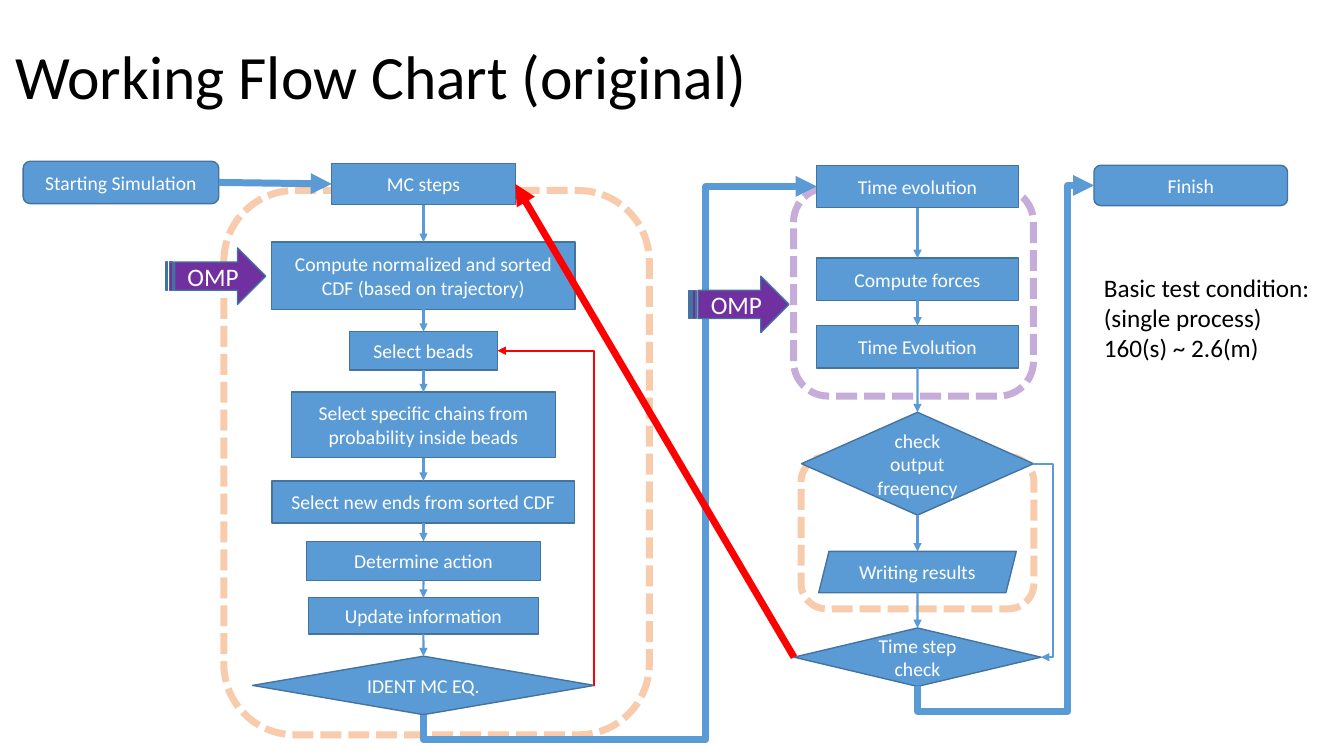
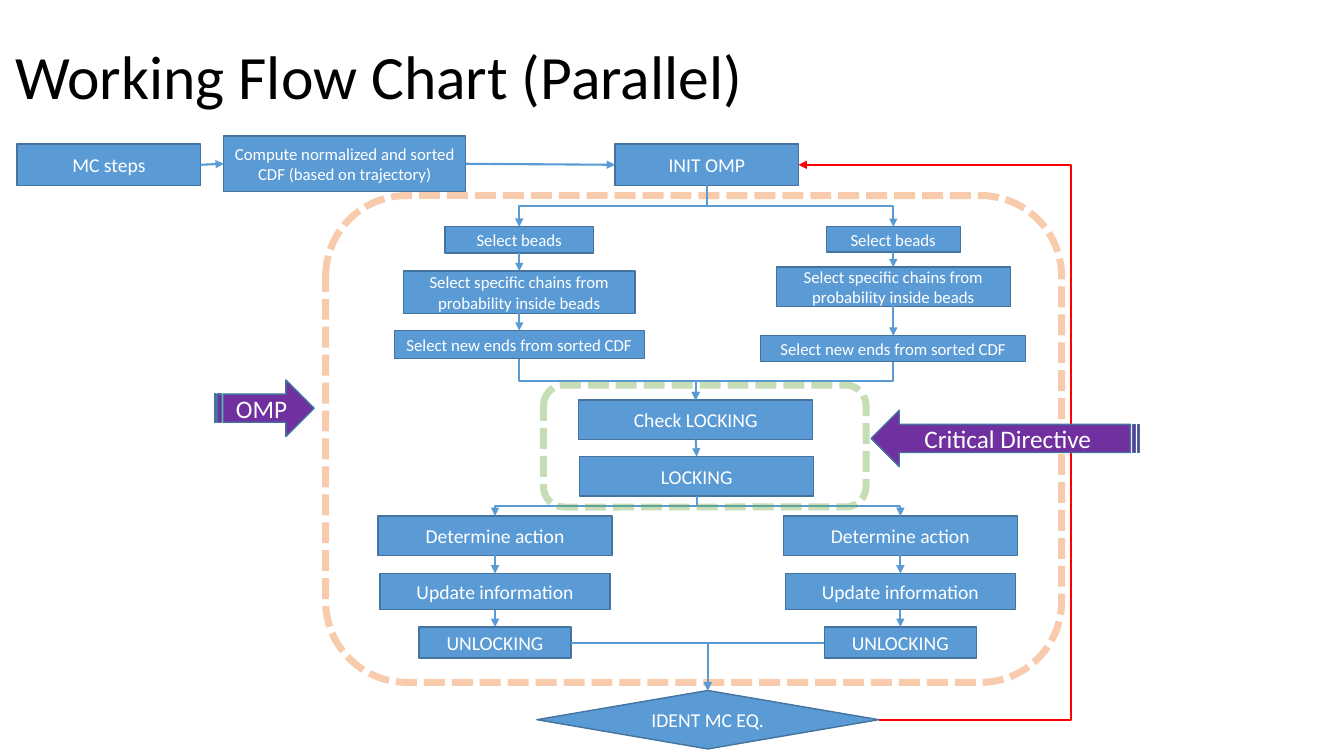
from dataclasses import dataclass
from itertools import pairwise

from lxml.etree import SubElement
from pptx import Presentation
from pptx.dml.color import RGBColor as RGB
from pptx.enum.dml import MSO_LINE
from pptx.enum.shapes import MSO_CONNECTOR as CONN, MSO_SHAPE as SHAPE
from pptx.enum.text import MSO_ANCHOR, MSO_AUTO_SIZE, PP_ALIGN
from pptx.oxml.ns import qn
from pptx.util import Inches, Pt


@dataclass(frozen=True)
class Theme:
    font: str = "Calibri"
    blue: str = "5B9BD5"
    edge: str = "43739E"
    purple: str = "7030A0"
    orange: str = "ED7D31"
    green: str = "70AD47"
    red: str = "FF0000"
    white: str = "FFFFFF"
    black: str = "000000"
    title: int = 44
    large: int = 18
    body: int = 14
    small: int = 12
    thin: float = 1.5
    thick: float = 5


T = Theme()
TOP, LEFT, BOTTOM, RIGHT = range(4)
RECT, ROUND, DIAMOND = SHAPE.RECTANGLE, SHAPE.ROUNDED_RECTANGLE, SHAPE.DIAMOND
STRIPED = SHAPE.STRIPED_RIGHT_ARROW


def node(s, kind, cx, top, w, h, text="", size=T.body, fill=T.blue, frame=None):
    """Add a filled box centred on cx, or a translucent dashed frame."""
    sp = s.shapes.add_shape(kind, Inches(cx - w / 2), Inches(top), Inches(w), Inches(h))
    sp.shadow.inherit = False
    sp.line.color.rgb = RGB.from_string(frame or T.edge)
    if frame:
        sp.fill.background()
        sp.line.width = Pt(T.thick)
        sp.line.dash_style = MSO_LINE.SQUARE_DOT
        colour = sp.element.spPr.find(".//" + qn("a:ln")).find(".//" + qn("a:srgbClr"))
        SubElement(colour, qn("a:alpha"), val="40000")
        return sp
    sp.fill.solid()
    sp.fill.fore_color.rgb = RGB.from_string(fill)
    sp.line.width = Pt(1)
    tf = sp.text_frame
    tf.word_wrap = True
    tf.vertical_anchor = MSO_ANCHOR.MIDDLE
    p = tf.paragraphs[0]
    p.alignment = PP_ALIGN.CENTER
    r = p.add_run()
    r.text = text
    r.font.name, r.font.size = T.font, Pt(size)
    r.font.color.rgb = RGB.from_string(T.white)
    return sp


def link(s, a, side_a, b, side_b, bends=None, colour=T.blue, width=T.thin):
    """Join two sides; bends holds the inner turns of an elbow, in inches."""
    ends = []
    for sp, side in ((a, side_a), (b, side_b)):
        dx, dy = ((0.5, 0), (0, 0.5), (0.5, 1), (1, 0.5))[side]
        ends.append((int(sp.left + dx * sp.width), int(sp.top + dy * sp.height)))
    (x0, y0), (x1, y1) = ends
    c = s.shapes.add_connector(CONN.STRAIGHT if bends is None else CONN.ELBOW, x0, y0, x1, y1)
    # A parallelogram numbers its connection sites differently
    if a.auto_shape_type != SHAPE.PARALLELOGRAM:
        c.begin_connect(a, side_a)
    if b.auto_shape_type != SHAPE.PARALLELOGRAM:
        c.end_connect(b, side_b)
    c.line.color.rgb = RGB.from_string(colour)
    c.line.width = Pt(width)
    spPr = c.element.spPr
    SubElement(spPr.find(qn("a:ln")), qn("a:tailEnd"), type="triangle")
    SubElement(spPr, qn("a:effectLst"))
    if bends is None:
        return c

    vertical = side_a in (TOP, BOTTOM)
    if vertical:  # an elbow that starts vertically is turned by 90 degrees
        w, h = abs(y1 - y0), abs(x1 - x0)
        c.left, c.top = (x0 + x1 - w) // 2, (y0 + y1 - h) // 2
        c.width, c.height = w, h
        xfrm = spPr.find(qn("a:xfrm"))
        xfrm.set("rot", "5400000")
        xfrm.set("flipH", str(int(y1 < y0)))
        xfrm.set("flipV", str(int(x1 > x0)))
    geom = spPr.find(qn("a:prstGeom"))
    geom.set("prst", f"bentConnector{len(bends) + 2}")
    guides = geom.get_or_add_avLst()
    for i, bend in enumerate(bends):
        start, end = (y0, y1) if vertical == (i % 2 == 0) else (x0, x1)
        ratio = (Inches(bend) - start) / (end - start)
        SubElement(guides, qn("a:gd"), name=f"adj{i + 1}", fmla=f"val {round(ratio * 100000)}")
    return c


prs = Presentation()
prs.slide_width, prs.slide_height = Inches(13.33), Inches(7.5)
layout = prs.slide_layouts[5]
title = layout.placeholders[0]
title.left, title.top, title.width, title.height = map(Inches, (0.05, 0.06, 11.5, 1.45))

# Titled slides
slides = []
for text in ("Working Flow Chart (original)", "Working Flow Chart (Parallel)"):
    s = prs.slides.add_slide(layout)
    tf = s.shapes.title.text_frame
    tf.auto_size = MSO_AUTO_SIZE.NONE
    tf.vertical_anchor = MSO_ANCHOR.MIDDLE
    p = tf.paragraphs[0]
    p.alignment, p.line_spacing = PP_ALIGN.LEFT, 0.9
    r = p.add_run()
    r.text = text
    r.font.name, r.font.size = T.font, Pt(T.title)
    r.font.color.rgb = RGB.from_string(T.black)
    slides.append(s)
original, parallel = slides

# Slide 1: dashed frames
s = original
node(s, ROUND, 9.1, 4.53, 2.31, 1.51, frame=T.orange)
node(s, ROUND, 9.06, 1.86, 2.38, 2.07, frame=T.purple)
node(s, ROUND, 4.33, 1.89, 4.22, 5.4, frame=T.orange)

# Slide 1: start, the two columns of steps, finish
start = node(s, ROUND, 1.2, 1.6, 1.94, 0.42, "Starting Simulation")
finish = node(s, ROUND, 11.81, 1.64, 1.92, 0.4, "Finish")
columns = (
    (4.2, (
        (RECT, 1.62, 1.82, 0.41, "MC steps"),
        (RECT, 2.4, 3.01, 0.67, "Compute normalized and sorted CDF (based on trajectory)"),
        (RECT, 3.29, 1.47, 0.38, "Select beads"),
        (RECT, 3.89, 2.62, 0.65, "Select specific chains from probability inside beads"),
        (RECT, 4.77, 3, 0.42, "Select new ends from sorted CDF"),
        (RECT, 5.37, 2.32, 0.39, "Determine action"),
        (RECT, 5.93, 2.28, 0.36, "Update information"),
        (DIAMOND, 6.51, 3.39, 0.58, "IDENT MC EQ."),
    )),
    (9.1, (
        (RECT, 1.64, 2, 0.42, "Time evolution"),
        (RECT, 2.56, 2, 0.42, "Compute forces"),
        (RECT, 3.23, 2, 0.42, "Time Evolution"),
        (DIAMOND, 4.09, 2.3, 1.02, "check output frequency"),
        (SHAPE.PARALLELOGRAM, 5.47, 1.96, 0.41, "Writing results"),
        (DIAMOND, 6.23, 2.45, 0.58, "Time step check"),
    )),
)
chains = []
for cx, steps in columns:
    chain = [node(s, kind, cx, *rest) for kind, *rest in steps]
    for a, b in pairwise(chain):
        link(s, a, BOTTOM, b, TOP)
    chains.append(chain)
mc, evolution = chains

# Slide 1: links between the columns and loops back
link(s, start, RIGHT, mc[0], LEFT, width=T.thick)
link(s, mc[-1], RIGHT, mc[2], RIGHT, (5.89,), colour=T.red)
link(s, mc[-1], BOTTOM, evolution[0], LEFT, (7.34, 7), width=T.thick)
link(s, evolution[-1], LEFT, mc[0], RIGHT, colour=T.red, width=T.thick)
link(s, evolution[3], RIGHT, evolution[-1], RIGHT, (10.44,))
link(s, evolution[-1], BOTTOM, finish, LEFT, (7.06, 10.59), width=T.thick)

# Slide 1: parallel markers and test note
for cx, top in ((2.14, 2.46), (7.33, 2.74)):
    node(s, STRIPED, cx, top, 0.99, 0.56, "OMP", T.large, T.purple)
tb = s.shapes.add_textbox(Inches(10.85), Inches(2.65), Inches(2.26), Inches(1.01))
tf = tb.text_frame
tf.word_wrap = False
tf.auto_size = MSO_AUTO_SIZE.SHAPE_TO_FIT_TEXT
for i, text in enumerate(("Basic test condition:", "(single process)", "160(s) ~ 2.6(m)")):
    p = tf.add_paragraph() if i else tf.paragraphs[0]
    r = p.add_run()
    r.text = text
    r.font.name, r.font.size = T.font, Pt(T.large)
    r.font.color.rgb = RGB.from_string(T.black)

# Slide 2: outer frame and top row
s = parallel
node(s, ROUND, 6.88, 1.94, 7.3, 4.83, frame=T.orange)
steps = node(s, RECT, 1.08, 1.43, 1.82, 0.41, "MC steps")
compute = node(s, RECT, 3.42, 1.35, 2.4, 0.55,
               "Compute normalized and sorted CDF (based on trajectory)", T.small)
init = node(s, RECT, 7.01, 1.43, 1.82, 0.41, "INIT OMP")
for a, b in pairwise((steps, compute, init)):
    link(s, a, RIGHT, b, LEFT)

# Slide 2: shared locking steps and final check
check = node(s, RECT, 6.9, 3.97, 2.32, 0.39, "Check LOCKING")
lock = node(s, RECT, 6.91, 4.53, 2.32, 0.39, "LOCKING")
ident = node(s, DIAMOND, 7.02, 6.85, 3.39, 0.58, "IDENT MC EQ.")
link(s, check, BOTTOM, lock, TOP)

# Slide 2: the two threads; top, width and height of each selection step
selections = ("Select beads", "Select specific chains from probability inside beads",
              "Select new ends from sorted CDF")
updates = (("Determine action", 5.12, 2.32, 0.39), ("Update information", 5.69, 2.28, 0.36),
           ("UNLOCKING", 6.22, 1.51, 0.31))
threads = (
    (5.15, 4.91, RIGHT, ((2.25, 1.47, 0.26), (2.69, 2.3, 0.42), (3.28, 2.48, 0.28))),
    (8.86, 8.93, LEFT, ((2.25, 1.33, 0.25), (2.65, 2.32, 0.39), (3.33, 2.63, 0.26))),
)
for select_x, update_x, inner, boxes in threads:
    select = [node(s, RECT, select_x, *box, text, T.small)
              for box, text in zip(boxes, selections)]
    update = [node(s, RECT, update_x, *box, text) for text, *box in updates]
    for chain in (select, update):
        for a, b in pairwise(chain):
            link(s, a, BOTTOM, b, TOP)
    link(s, init, BOTTOM, select[0], TOP, (2.04,))
    link(s, select[-1], BOTTOM, check, TOP, (3.78,))
    link(s, lock, BOTTOM, update[0], TOP, (5.02,))
    link(s, update[-1], inner, ident, TOP, ())
link(s, ident, RIGHT, init, RIGHT, (10.62,), colour=T.red)

# Slide 2: critical section and markers
node(s, ROUND, 6.99, 3.82, 3.2, 1.21, frame=T.green)
node(s, STRIPED, 2.62, 3.77, 0.99, 0.56, "OMP", T.large, T.purple)
critical = node(s, STRIPED, 9.97, 4.07, 2.66, 0.56, "Critical Directive", T.large, T.purple)
critical.element.spPr.find(qn("a:xfrm")).set("flipH", "1")

prs.save("out.pptx")
